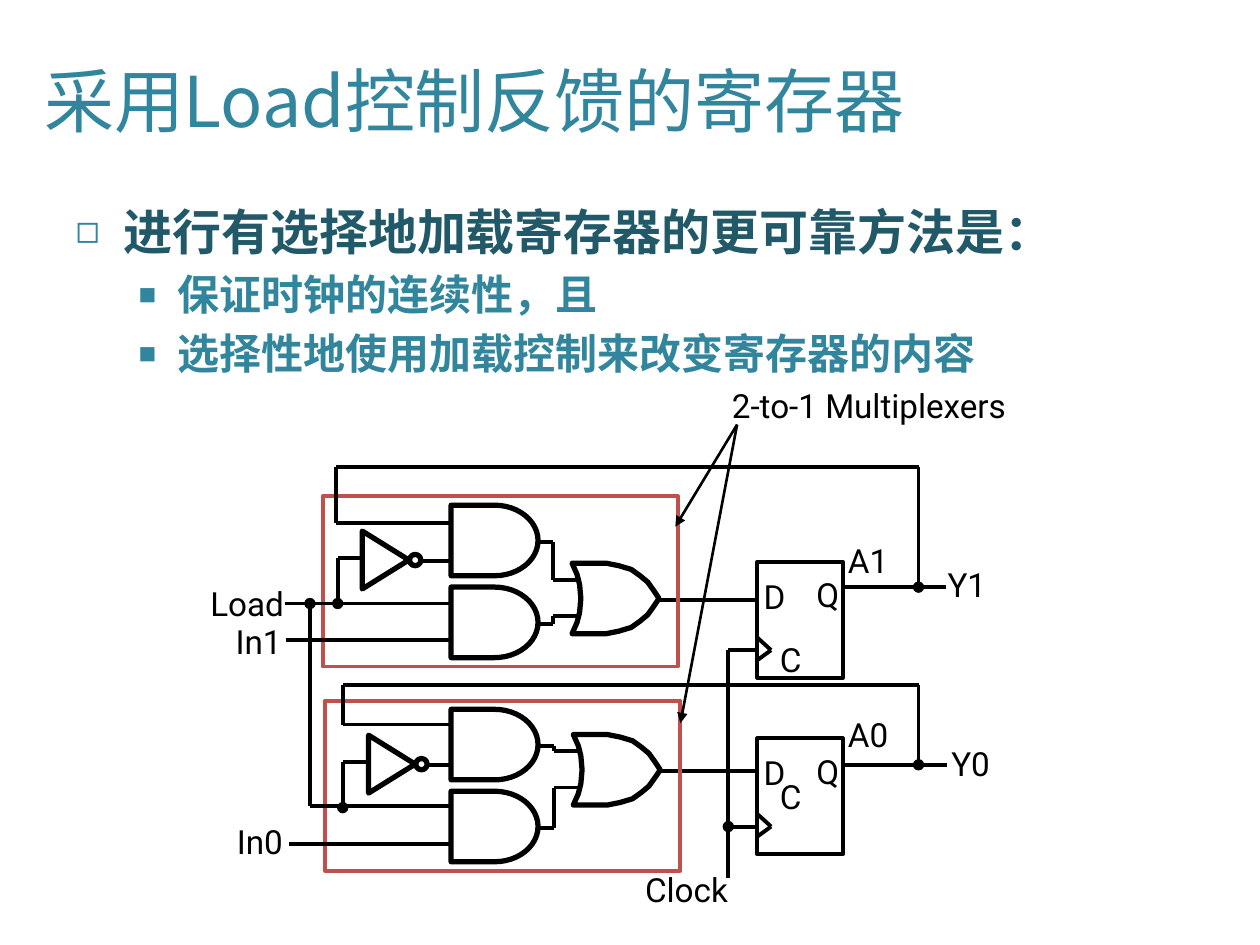
from itertools import pairwise

from lxml import etree
from pptx import Presentation
from pptx.dml.color import RGBColor
from pptx.enum.shapes import MSO_CONNECTOR, MSO_SHAPE
from pptx.enum.text import MSO_ANCHOR, PP_ALIGN
from pptx.oxml.ns import qn
from pptx.util import Inches, Pt

STRAIGHT = MSO_CONNECTOR.STRAIGHT
AND_GATE, TRIANGLE = MSO_SHAPE.FLOWCHART_DELAY, MSO_SHAPE.ISOSCELES_TRIANGLE
OVAL, RECTANGLE = MSO_SHAPE.OVAL, MSO_SHAPE.RECTANGLE
LEFT, TOP, MIDDLE = PP_ALIGN.LEFT, MSO_ANCHOR.TOP, MSO_ANCHOR.MIDDLE

BLACK = RGBColor(0x00, 0x00, 0x00)
RED = RGBColor(0xC0, 0x50, 0x4D)
TEAL = RGBColor(0x31, 0x85, 0x9C)
DARK_TEAL = RGBColor(0x21, 0x59, 0x68)
CHINESE_FONT, LABEL_FONT = "Noto Sans CJK SC", "Roboto"

GATE_LEFT, GATE_WIDTH, GATE_HEIGHT = 3.58, 0.69, 0.56
FLIP_FLOP_LEFT, FLIP_FLOP_WIDTH, FLIP_FLOP_HEIGHT = 6.01, 0.68, 0.92
FEEDBACK_X, CLOCK_X, LOAD_X = 7.29, 5.78, 2.46
# Upper half of an OR gate, from the middle of its back to its tip.
OR_UPPER_HALF = [(0.07, 0.28), (0.06, 0.17), (0.04, 0.09), (0, 0), (0.27, 0),
                 (0.37, 0.02), (0.47, 0.05), (0.54, 0.1), (0.6, 0.15),
                 (0.65, 0.22), (0.69, 0.28)]


def place(shape, left, top, width, height):
    shape.left, shape.top = Inches(left), Inches(top)
    shape.width, shape.height = Inches(width), Inches(height)


def format_run(run, font_name, size, color, bold=False):
    run.font.name, run.font.size, run.font.bold = font_name, Pt(size), bold
    run.font.color.rgb = color
    if font_name == CHINESE_FONT:
        east_asian = etree.SubElement(run.font._element, qn("a:ea"))
        east_asian.set("typeface", font_name)


def add_outline(slide, kind, left, top, width, height, color=BLACK, weight=3):
    shape = slide.shapes.add_shape(kind, Inches(left), Inches(top),
                                   Inches(width), Inches(height))
    shape.shadow.inherit = False
    shape.fill.background()
    shape.line.color.rgb, shape.line.width = color, Pt(weight)
    return shape


def add_junction(slide, x, y):
    dot = add_outline(slide, OVAL, x - 0.04, y - 0.04, 0.08, 0.08, weight=0.75)
    dot.fill.solid()
    dot.fill.fore_color.rgb = BLACK


def add_line(slide, start, end, weight=2.25):
    line = slide.shapes.add_connector(STRAIGHT, *map(Inches, (*start, *end)))
    line.line.color.rgb, line.line.width = BLACK, Pt(weight)
    etree.SubElement(line._element.spPr, qn("a:effectLst"))
    return line


def add_wire(slide, *points):
    """Join the points with straight lines."""
    for start, end in pairwise(points):
        add_line(slide, start, end)


def add_arrow(slide, start, end):
    arrow = add_line(slide, start, end, weight=1.5)
    head = etree.SubElement(arrow.line._get_or_add_ln(), qn("a:tailEnd"))
    head.set("type", "triangle")


def add_label(slide, text, left, top, width):
    box = slide.shapes.add_textbox(Inches(left), Inches(top),
                                   Inches(width), Inches(0.32))
    frame = box.text_frame
    frame.margin_left = frame.margin_right = 0
    frame.margin_top = frame.margin_bottom = 0
    frame.word_wrap = False
    frame.text = text
    format_run(frame.paragraphs[0].runs[0], LABEL_FONT, 19, BLACK)


def add_or_gate(slide, left, top):
    lower_half = [(x, GATE_HEIGHT - y) for x, y in reversed(OR_UPPER_HALF)]
    points = [(Inches(left + x), Inches(top + y))
              for x, y in OR_UPPER_HALF + lower_half[1:-1]]
    builder = slide.shapes.build_freeform(*points[0])
    builder.add_line_segments(points[1:], close=True)
    gate = builder.convert_to_shape()
    gate.shadow.inherit = False
    gate.fill.background()
    gate.line.color.rgb, gate.line.width = BLACK, Pt(3)


def add_multiplexer(slide, left, top, or_left, or_top, inverter_left, select_x):
    """Draw two AND gates, an inverter and an OR gate in a red frame."""
    for gate_top in (top + 0.07, top + 0.72):
        add_outline(slide, AND_GATE, GATE_LEFT, gate_top, GATE_WIDTH, GATE_HEIGHT)
    add_or_gate(slide, or_left, or_top)
    inverter = add_outline(slide, TRIANGLE, inverter_left, top + 0.32, 0.46, 0.37)
    inverter.rotation = 90
    add_outline(slide, OVAL, inverter_left + 0.42, top + 0.46, 0.09, 0.09)

    add_wire(slide, (inverter_left + 0.52, top + 0.51), (GATE_LEFT, top + 0.51))
    add_wire(slide, (inverter_left + 0.05, top + 0.49), (select_x, top + 0.49),
             (select_x, top + 0.85))
    add_junction(slide, select_x, top + 0.85)
    bend_x = or_left - 0.15
    for output_y, input_y in ((top + 0.36, or_top + 0.13),
                              (top + 1.01, or_top + 0.42)):
        add_wire(slide, (GATE_LEFT + GATE_WIDTH, output_y), (bend_x, output_y),
                 (bend_x, input_y), (or_left + 0.07, input_y))
    add_wire(slide, (or_left + GATE_WIDTH, or_top + 0.29),
             (FLIP_FLOP_LEFT, or_top + 0.29))
    add_outline(slide, RECTANGLE, left, top, 2.82, 1.35, RED, 2.25)


def add_flip_flop(slide, top, clock_label_top, output_y, output_end):
    add_outline(slide, RECTANGLE, FLIP_FLOP_LEFT, top, FLIP_FLOP_WIDTH,
                FLIP_FLOP_HEIGHT, weight=2.25)
    add_wire(slide, (FLIP_FLOP_LEFT, top + 0.6), (FLIP_FLOP_LEFT + 0.11, top + 0.7),
             (FLIP_FLOP_LEFT, top + 0.78))
    add_wire(slide, (CLOCK_X, top + 0.7), (FLIP_FLOP_LEFT, top + 0.7))
    add_wire(slide, (FLIP_FLOP_LEFT + FLIP_FLOP_WIDTH, output_y),
             (output_end, output_y))
    add_junction(slide, FEEDBACK_X, output_y)
    add_label(slide, "C", 6.19, clock_label_top, 0.19)
    add_label(slide, "D", 6.06, top + 0.11, 0.19)
    add_label(slide, "Q", 6.48, top + 0.1, 0.2)


def add_circuit(slide):
    add_multiplexer(slide, 2.56, 3.94, 4.54, 4.47, 2.83, 2.68)
    add_multiplexer(slide, 2.58, 5.56, 4.55, 5.83, 2.88, 2.72)
    add_flip_flop(slide, 4.46, 5.07, 4.66, 7.51)
    add_flip_flop(slide, 5.86, 6.16, 6.07, 7.52)

    for output_y, feedback_y, return_x, input_y in ((4.66, 3.71, 2.67, 4.15),
                                                    (6.07, 5.44, 2.72, 5.75)):
        add_wire(slide, (FEEDBACK_X, output_y), (FEEDBACK_X, feedback_y),
                 (return_x, feedback_y), (return_x, input_y), (GATE_LEFT, input_y))
    for input_left, input_y in ((2.26, 4.79), (2.27, 5.08), (2.29, 6.7)):
        add_wire(slide, (input_left, input_y), (GATE_LEFT, input_y))
    add_wire(slide, (LOAD_X, 4.79), (LOAD_X, 6.4), (GATE_LEFT, 6.4))
    add_junction(slide, LOAD_X, 4.79)
    add_wire(slide, (CLOCK_X, 5.16), (CLOCK_X, 6.97))
    add_junction(slide, CLOCK_X, 6.56)
    for target in ((5.36, 4.18), (5.4, 5.74)):
        add_arrow(slide, (5.85, 3.37), target)

    for label in (("2-to-1 Multiplexers", 5.81, 3.06, 2.34),
                  ("Load", 1.67, 4.63, 0.63), ("In1", 1.87, 4.93, 0.38),
                  ("In0", 1.88, 6.52, 0.38), ("Clock", 5.12, 6.9, 0.72),
                  ("A1", 6.73, 4.29, 0.34), ("Y1", 7.52, 4.48, 0.32),
                  ("A0", 6.73, 5.67, 0.34), ("Y0", 7.55, 5.9, 0.32)):
        add_label(slide, *label)


def set_bullet(paragraph, character, percent, margin, hanging):
    properties = paragraph._p.get_or_add_pPr()
    properties.set("marL", str(Inches(margin)))
    properties.set("indent", str(-Inches(hanging)))
    color = etree.SubElement(properties, qn("a:buClr"))
    etree.SubElement(color, qn("a:srgbClr")).set("val", str(TEAL))
    etree.SubElement(properties, qn("a:buSzPct")).set("val", str(percent * 1000))
    etree.SubElement(properties, qn("a:buChar")).set("char", character)


def fill_title(title):
    place(title, 0.25, 0.27, 7.66, 1.04)
    title.text_frame.text = "采用Load控制反馈的寄存器"
    title.text_frame.vertical_anchor = MIDDLE
    paragraph = title.text_frame.paragraphs[0]
    paragraph.alignment = LEFT
    format_run(paragraph.runs[0], CHINESE_FONT, 40, TEAL)


def fill_body(body):
    place(body, 0.5, 1.55, 9, 4.95)
    frame = body.text_frame
    frame.vertical_anchor = TOP
    frame.text = ("进行有选择地加载寄存器的更可靠方法是：\n"
                  "保证时钟的连续性，且\n选择性地使用加载控制来改变寄存器的内容")
    heading, *details = frame.paragraphs
    set_bullet(heading, "◻", 80, 0.38, 0.38)
    format_run(heading.runs[0], CHINESE_FONT, 28, DARK_TEAL, bold=True)
    for detail in details:
        detail.level = 1
        set_bullet(detail, "■", 70, 0.81, 0.31)
        format_run(detail.runs[0], CHINESE_FONT, 24, TEAL, bold=True)


def main():
    presentation = Presentation()
    presentation.slide_width, presentation.slide_height = Inches(10), Inches(7.5)
    slide = presentation.slides.add_slide(presentation.slide_layouts[1])
    fill_title(slide.shapes.title)
    add_circuit(slide)
    fill_body(slide.placeholders[1])
    presentation.save("out.pptx")


if __name__ == "__main__":
    main()
